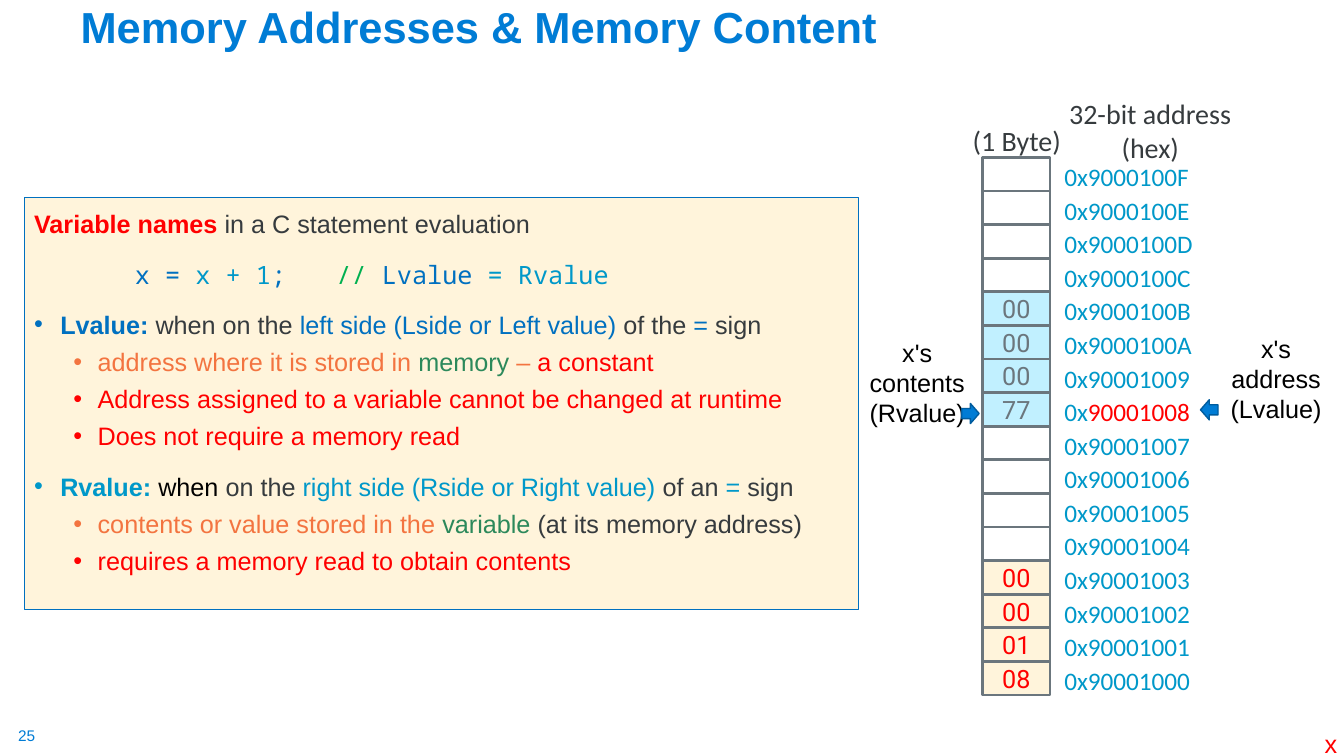
from lxml import etree
from pptx import Presentation
from pptx.dml.color import RGBColor
from pptx.enum.shapes import MSO_SHAPE
from pptx.enum.text import MSO_ANCHOR, MSO_AUTO_SIZE, PP_ALIGN
from pptx.oxml.ns import qn
from pptx.util import Pt

RECTANGLE = MSO_SHAPE.RECTANGLE
RIGHT_ARROW = MSO_SHAPE.RIGHT_ARROW
LEFT, CENTER = PP_ALIGN.LEFT, PP_ALIGN.CENTER
TOP, MIDDLE, BOTTOM = MSO_ANCHOR.TOP, MSO_ANCHOR.MIDDLE, MSO_ANCHOR.BOTTOM
NO_AUTOFIT = MSO_AUTO_SIZE.NONE

WHITE = RGBColor(0xFF, 0xFF, 0xFF)
BLACK = RGBColor(0x00, 0x00, 0x00)
RED = RGBColor(0xFF, 0x00, 0x00)
DARK = RGBColor(0x36, 0x3B, 0x3E)
GRAY = RGBColor(0x6B, 0x76, 0x7D)
BRAND_BLUE = RGBColor(0x00, 0x7C, 0xD5)
ARROW_EDGE = RGBColor(0x00, 0x5C, 0x9E)
LEFT_BLUE = RGBColor(0x00, 0x70, 0xC0)
RIGHT_TEAL = RGBColor(0x00, 0x98, 0xC9)
COMMENT_GREEN = RGBColor(0x00, 0xB0, 0x50)
GREEN = RGBColor(0x2C, 0x89, 0x5B)
ORANGE = RGBColor(0xF3, 0x74, 0x40)
CREAM = RGBColor(0xFF, 0xF4, 0xDB)
PALE_BLUE = RGBColor(0xC1, 0xF0, 0xFF)

HEADING, CODE, TERM, DETAIL = "heading", "code", "term", "detail"
INDENTS = {TERM: (18.7, -18.7), DETAIL: (45.4, -17.3)}
CODE_TABS = (72, 216)

STATEMENTS = [
    (HEADING, [("Variable names ", RED), ("in a C statement evaluation", DARK)]),
    (CODE, [("\tx = ", LEFT_BLUE), ("x + 1", RIGHT_TEAL), ("; \t", LEFT_BLUE),
            ("// ", COMMENT_GREEN), ("Lvalue ", LEFT_BLUE), ("= Rvalue", RIGHT_TEAL)]),
    (TERM, [("Lvalue: ", LEFT_BLUE), ("when on the ", DARK),
            ("left side (Lside or Left value) ", LEFT_BLUE), ("of the ", DARK),
            ("= ", LEFT_BLUE), ("sign", DARK)]),
    (DETAIL, [("address where it is stored in ", ORANGE), ("memory", GREEN),
              (" – ", ORANGE), ("a constant", RED)]),
    (DETAIL, [("Address assigned to a variable cannot be changed at runtime", RED)]),
    (DETAIL, [("Does not require a memory read", RED)]),
    (TERM, [("Rvalue: ", RIGHT_TEAL), ("when ", BLACK), ("on the ", DARK),
            ("right side (Rside or Right value) ", RIGHT_TEAL), ("of an ", DARK),
            ("=", RIGHT_TEAL), (" sign", DARK)]),
    (DETAIL, [("contents or value stored in the ", ORANGE), ("variable ", GREEN),
              ("(at its memory address)", DARK)]),
    (DETAIL, [("requires a memory read to obtain contents", RED)]),
]

FIRST_ADDRESS = 0x90001000
X_ADDRESS = 0x90001008
BLANKS = [("", WHITE, GRAY)] * 4
MEMORY = (BLANKS
          + [(value, PALE_BLUE, GRAY) for value in ("00", "00", "00", "77")]
          + BLANKS
          + [(value, CREAM, RED) for value in ("00", "00", "01", "08")])


def style(paragraph, font_name, size, color=None, align=LEFT):
    paragraph.alignment = align
    paragraph.font.name = font_name
    paragraph.font.size = Pt(size)
    if color is not None:
        paragraph.font.color.rgb = color


def add_runs(paragraph, pieces):
    for words, color in pieces:
        run = paragraph.add_run()
        run.text = words
        run.font.color.rgb = color


def add_bullet(paragraph, margin, indent):
    properties = paragraph._p.get_or_add_pPr()
    properties.set("marL", str(Pt(margin)))
    properties.set("indent", str(Pt(indent)))
    defaults = properties.find(qn("a:defRPr"))
    defaults.addprevious(etree.Element(qn("a:buFont"), typeface="Arial"))
    defaults.addprevious(etree.Element(qn("a:buChar"), char="•"))


def add_tabs(paragraph, stops):
    tabs = etree.Element(qn("a:tabLst"))
    for stop in stops:
        etree.SubElement(tabs, qn("a:tab"), pos=str(Pt(stop)), algn="l")
    paragraph._p.get_or_add_pPr().find(qn("a:defRPr")).addprevious(tabs)


def add_block(shapes, kind, box, fill, edge, edge_width):
    block = shapes.add_shape(kind, *map(Pt, box))
    block.shadow.inherit = False
    block.fill.solid()
    block.fill.fore_color.rgb = fill
    block.line.color.rgb = edge
    block.line.width = Pt(edge_width)
    return block


def add_label(shapes, box, lines, font_name, size, color, align=LEFT, wrap=False):
    label = shapes.add_textbox(*map(Pt, box)).text_frame
    label.word_wrap = wrap
    label.text = "\n".join(lines)
    for paragraph in label.paragraphs:
        style(paragraph, font_name, size, color, align)
    return label


def place_title(slide, box):
    title = slide.shapes.title
    title.left, title.top, title.width, title.height = map(Pt, box)
    frame = title.text_frame
    frame.text = "Memory Addresses & Memory Content"
    frame.vertical_anchor = BOTTOM
    frame.auto_size = NO_AUTOFIT
    heading = frame.paragraphs[0]
    style(heading, "Arial", 31, BRAND_BLUE)
    heading.font.bold = True
    heading.line_spacing = 0.9


def add_statements(slide, box):
    panel = add_block(slide.shapes, RECTANGLE, box, CREAM, LEFT_BLUE, 0.75).text_frame
    panel.word_wrap = True
    panel.vertical_anchor = TOP
    for index, (role, pieces) in enumerate(STATEMENTS):
        paragraph = panel.add_paragraph() if index else panel.paragraphs[0]
        style(paragraph, "Noto Sans Mono" if role == CODE else "Arial", 18)
        paragraph.space_before = Pt(5 if role == DETAIL else 10)
        paragraph.line_spacing = 1.0 if role == DETAIL else 1.2
        add_runs(paragraph, pieces)
        if role in (HEADING, TERM):
            paragraph.runs[0].font.bold = True
        if role == CODE:
            add_tabs(paragraph, CODE_TABS)
        if role in INDENTS:
            paragraph.level = 1 if role == DETAIL else 0
            add_bullet(paragraph, *INDENTS[role])


def add_memory(slide, box):
    left, top, width, height = box
    row_height = height / len(MEMORY)
    address_left = left + width + 3.1
    shapes = slide.shapes.add_group_shape().shapes
    add_label(shapes, (left - 15, top - 28, 78.5, 31.5), ["(1 Byte)"],
              "Calibri", 20, DARK, CENTER)
    add_label(shapes, (address_left, top - 47, 137, 55.5), ["32-bit address", "(hex)"],
              "Calibri", 20, DARK, CENTER)
    for row, (value, fill, color) in enumerate(MEMORY):
        row_top = top + row * row_height
        cell = add_block(shapes, RECTANGLE, (left, row_top, width, row_height),
                         fill, GRAY, 2)
        if value:
            content = cell.text_frame
            content.word_wrap = False
            content.vertical_anchor = MIDDLE
            content.text = value
            style(content.paragraphs[0], "Roboto", 18, color, CENTER)
        address = FIRST_ADDRESS + len(MEMORY) - 1 - row
        digits = f"{address:X}"
        label = add_label(shapes, (address_left, row_top - 0.8, 110, 29), [],
                          "Calibri", 18, None)
        add_runs(label.paragraphs[0],
                 [("0x", RIGHT_TEAL), (digits, RED)] if address == X_ADDRESS
                 else [("0x" + digits, RIGHT_TEAL)])


def add_callout(slide, box, lines, arrow_offset, rotation):
    left, top = box[:2]
    add_label(slide.shapes, box, lines, "Arial", 18, BLACK, CENTER, True)
    arrow = add_block(slide.shapes, RIGHT_ARROW,
                      (left + arrow_offset, top + 51, 12.5, 14.4),
                      BRAND_BLUE, ARROW_EDGE, 1)
    arrow.rotation = rotation


def add_footer(slide, box):
    left, top, width, height = box
    number = add_label(slide.shapes, (left, top, 14, 14), ["25"], "Arial", 11, BRAND_BLUE)
    number.margin_left = number.margin_right = Pt(0)
    number.margin_top = number.margin_bottom = Pt(0)
    add_label(slide.shapes, (left + width - 24, top - 2, 24, height), ["x"],
              "Arial", 18, RED)


def main():
    deck = Presentation()
    deck.slide_width, deck.slide_height = Pt(960), Pt(540)
    slide = deck.slides.add_slide(deck.slide_layouts[5])
    place_title(slide, (50.4, 4.3, 828, 37.4))
    add_statements(slide, (17.3, 141.1, 596, 294.5))
    add_memory(slide, (702, 112.4, 48, 384))
    add_callout(slide, (608.4, 237.2, 93.6, 72.7), ["x's", "contents (Rvalue)"], 78.5, 0)
    add_callout(slide, (864.7, 234.5, 93.6, 72.7), ["x's", "address (Lvalue)"], -7.2, 180)
    add_footer(slide, (13, 519, 950, 29))
    deck.save("out.pptx")


if __name__ == "__main__":
    main()
